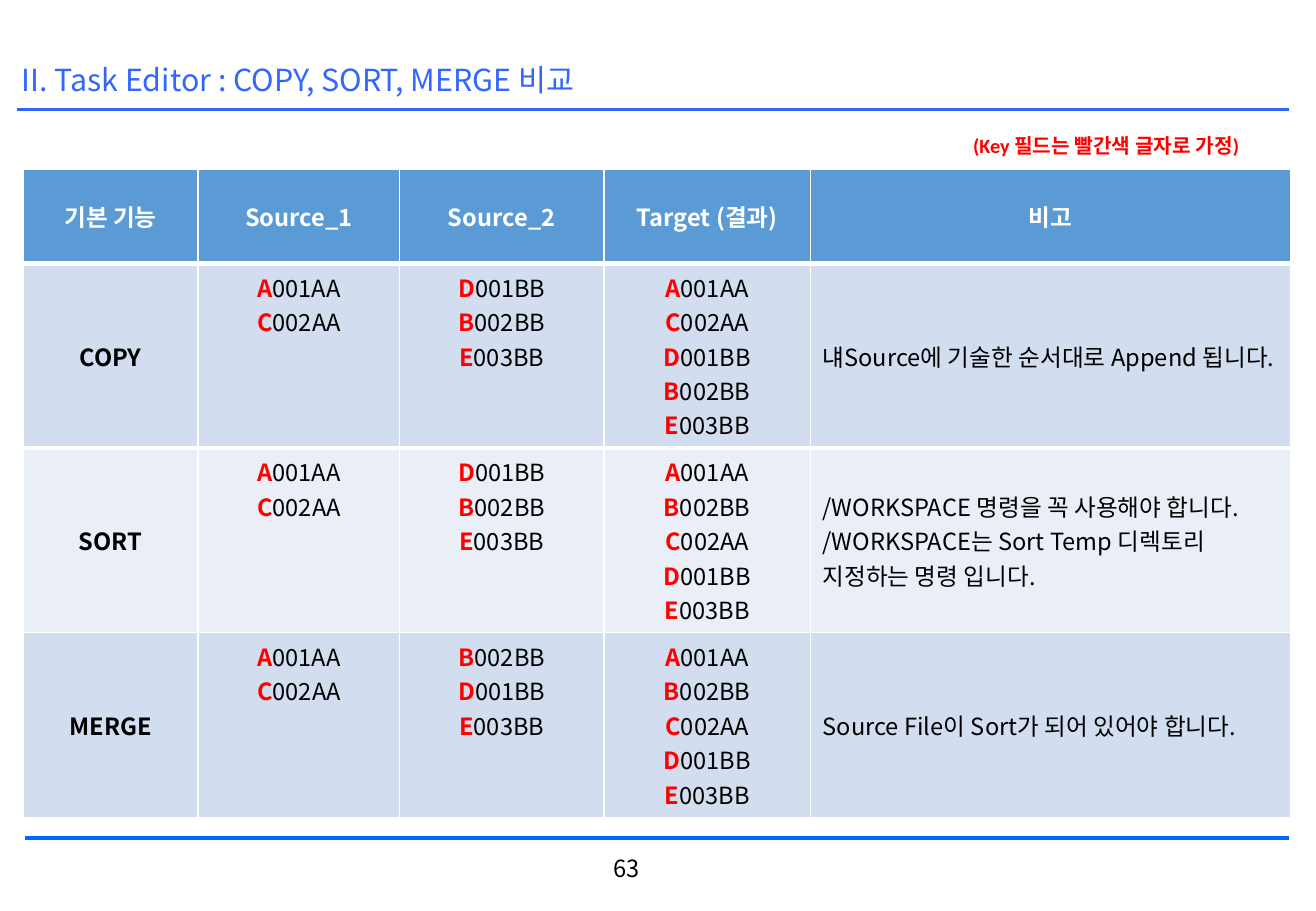
from dataclasses import dataclass

from lxml import etree
from pptx import Presentation
from pptx.dml.color import RGBColor
from pptx.enum.shapes import MSO_CONNECTOR
from pptx.enum.text import MSO_ANCHOR, PP_ALIGN
from pptx.oxml.ns import qn
from pptx.util import Inches, Pt

STRAIGHT = MSO_CONNECTOR.STRAIGHT
TOP, MIDDLE = MSO_ANCHOR.TOP, MSO_ANCHOR.MIDDLE
LEFT, CENTER, RIGHT = PP_ALIGN.LEFT, PP_ALIGN.CENTER, PP_ALIGN.RIGHT


@dataclass(frozen=True)
class Theme:
    font: str = "Noto Sans CJK KR"
    note_font: str = "Calibri"
    title_size: int = 18
    body_size: int = 14
    note_size: int = 12
    title: str = "3366FF"
    footer: str = "0066FF"
    key: str = "FF0000"
    text: str = "000000"
    header_text: str = "FFFFFF"
    header_fill: str = "5B9BD5"
    border: str = "FFFFFF"
    row_fills: tuple = ("D2DEEF", "EAEFF7")


THEME = Theme()

COLUMN_WIDTHS = (1.44, 1.66, 1.68, 1.7, 3.95)
HEADER_HEIGHT, ROW_HEIGHT = 0.78, 1.52
HEADERS = ("기본 기능", "Source_1", "Source_2", "Target (결과)", "비고")

# Function, source 1, source 2, target, remarks
FUNCTIONS = (
    ("COPY", "A001AA C002AA", "D001BB B002BB E003BB",
     "A001AA C002AA D001BB B002BB E003BB",
     ("냬Source에 기술한 순서대로 Append 됩니다.",)),
    ("SORT", "A001AA C002AA", "D001BB B002BB E003BB",
     "A001AA B002BB C002AA D001BB E003BB",
     ("/WORKSPACE 명령을 꼭 사용해야 합니다.",
      "/WORKSPACE는 Sort Temp 디렉토리 지정하는 명령 입니다.")),
    ("MERGE", "A001AA C002AA", "B002BB D001BB E003BB",
     "A001AA B002BB C002AA D001BB E003BB",
     ("Source File이 Sort가 되어 있어야 합니다.",)),
)


def style_para(para, size, color, bold=False, align=LEFT, font=THEME.font):
    para.alignment = align
    para.font.name = font
    para.font.size = Pt(size)
    para.font.bold = bold
    para.font.color.rgb = RGBColor.from_string(color)
    properties = para._p.pPr.find(qn("a:defRPr"))
    etree.SubElement(properties, qn("a:ea")).set("typeface", THEME.font)


def add_paras(frame, lines):
    """Yield one paragraph per line, starting with the frame's first."""
    for index, line in enumerate(lines):
        yield (frame.add_paragraph() if index else frame.paragraphs[0]), line


def add_label(page, box, text, size, color, anchor=TOP, **style):
    frame = page.shapes.add_textbox(*map(Inches, box)).text_frame
    frame.word_wrap = True
    frame.vertical_anchor = anchor
    para = frame.paragraphs[0]
    para.text = text
    style_para(para, size, color, **style)


def add_rule(page, left, right, y, color, width):
    rule = page.shapes.add_connector(
        STRAIGHT, Inches(left), Inches(y), Inches(right), Inches(y))
    rule.line.color.rgb = RGBColor.from_string(color)
    rule.line.width = Pt(width)
    etree.SubElement(rule._element.spPr, qn("a:effectLst"))


def set_border(cell, side, width):
    """Draw one cell side; lines come before the fill in the cell's XML."""
    line = etree.Element(qn(side), w=str(Pt(width)))
    fill = etree.SubElement(line, qn("a:solidFill"))
    etree.SubElement(fill, qn("a:srgbClr"), val=THEME.border)
    cell._tc.get_or_add_tcPr().insert(0, line)


def fill_cell(cell, lines, fill, color=THEME.text, bold=False, align=CENTER):
    cell.fill.solid()
    cell.fill.fore_color.rgb = RGBColor.from_string(fill)
    cell.vertical_anchor = MIDDLE
    for para, line in add_paras(cell.text_frame, lines):
        para.text = line
        style_para(para, THEME.body_size, color, bold, align)


def fill_records(cell, records, fill):
    """List records with the one-letter key picked out."""
    cell.fill.solid()
    cell.fill.fore_color.rgb = RGBColor.from_string(fill)
    cell.vertical_anchor = TOP
    for para, record in add_paras(cell.text_frame, records.split()):
        style_para(para, THEME.body_size, THEME.text, align=CENTER)
        key = para.add_run()
        key.text = record[0]
        key.font.bold = True
        key.font.color.rgb = RGBColor.from_string(THEME.key)
        para.add_run().text = record[1:]


def add_header(page, left, top, width):
    add_label(page, (left - 0.06, top, 9.21, 0.33),
              "II. Task Editor : COPY, SORT, MERGE 비교",
              THEME.title_size, THEME.title, MIDDLE)
    add_rule(page, left, left + width, top + 0.41, THEME.title, 2)


def add_comparison(page, left, top):
    heights = [HEADER_HEIGHT] + [ROW_HEIGHT] * len(FUNCTIONS)
    table = page.shapes.add_table(
        len(heights), len(COLUMN_WIDTHS), Inches(left), Inches(top),
        Inches(sum(COLUMN_WIDTHS)), Inches(sum(heights))).table
    for column, width in zip(table.columns, COLUMN_WIDTHS):
        column.width = Inches(width)
    for row, height in zip(table.rows, heights):
        row.height = Inches(height)

    # Header row
    for cell, header in zip(table.rows[0].cells, HEADERS):
        fill_cell(cell, [header], THEME.header_fill, THEME.header_text, True)

    # One row per function
    for index, (name, *record_lists, remarks) in enumerate(FUNCTIONS):
        cells = list(table.rows[index + 1].cells)
        fill = THEME.row_fills[index % 2]
        fill_cell(cells[0], [name], fill, bold=True)
        for cell, records in zip(cells[1:4], record_lists):
            fill_records(cell, records, fill)
        fill_cell(cells[4], remarks, fill, align=LEFT)

    # Thick line under the header
    for above, below in zip(table.rows[0].cells, table.rows[1].cells):
        set_border(above, "a:lnB", 3)
        set_border(below, "a:lnT", 3)

    # Note above the table
    add_label(page, (left + 7.72, top - 0.34, 2.7, 0.3),
              "(Key 필드는 빨간색 글자로 가정)", THEME.note_size, THEME.key,
              bold=True, font=THEME.note_font)


def add_footer(page, left, top, width):
    add_rule(page, left, left + width, top, THEME.footer, 2.25)
    add_label(page, (left + 3.4, top + 0.08, 1.75, 0.3), "63",
              THEME.body_size, THEME.text, align=RIGHT)


def main():
    deck = Presentation()
    deck.slide_width, deck.slide_height = Inches(10.83), Inches(7.5)
    page = deck.slides.add_slide(deck.slide_layouts[6])
    add_footer(page, 0.21, 6.9, 10.4)
    add_header(page, 0.14, 0.49, 10.47)
    add_comparison(page, 0.19, 1.39)
    deck.save("out.pptx")


if __name__ == "__main__":
    main()
